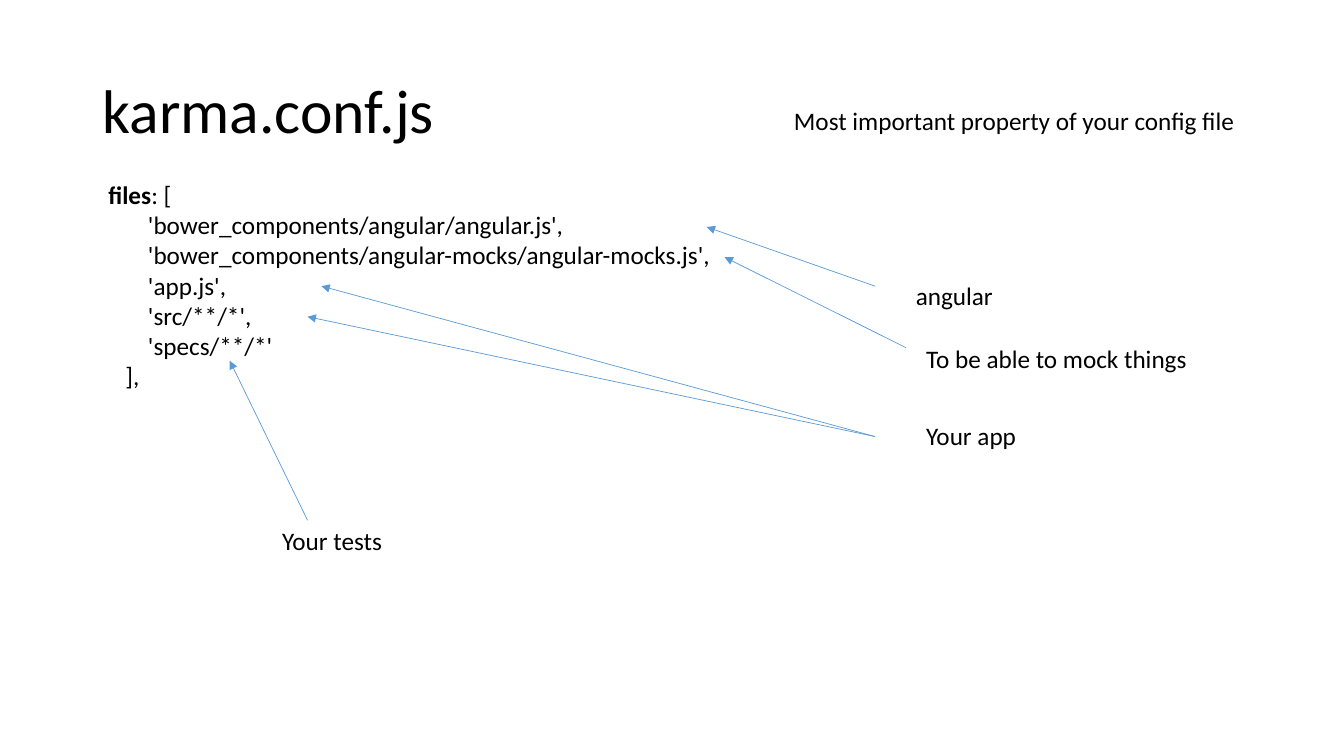
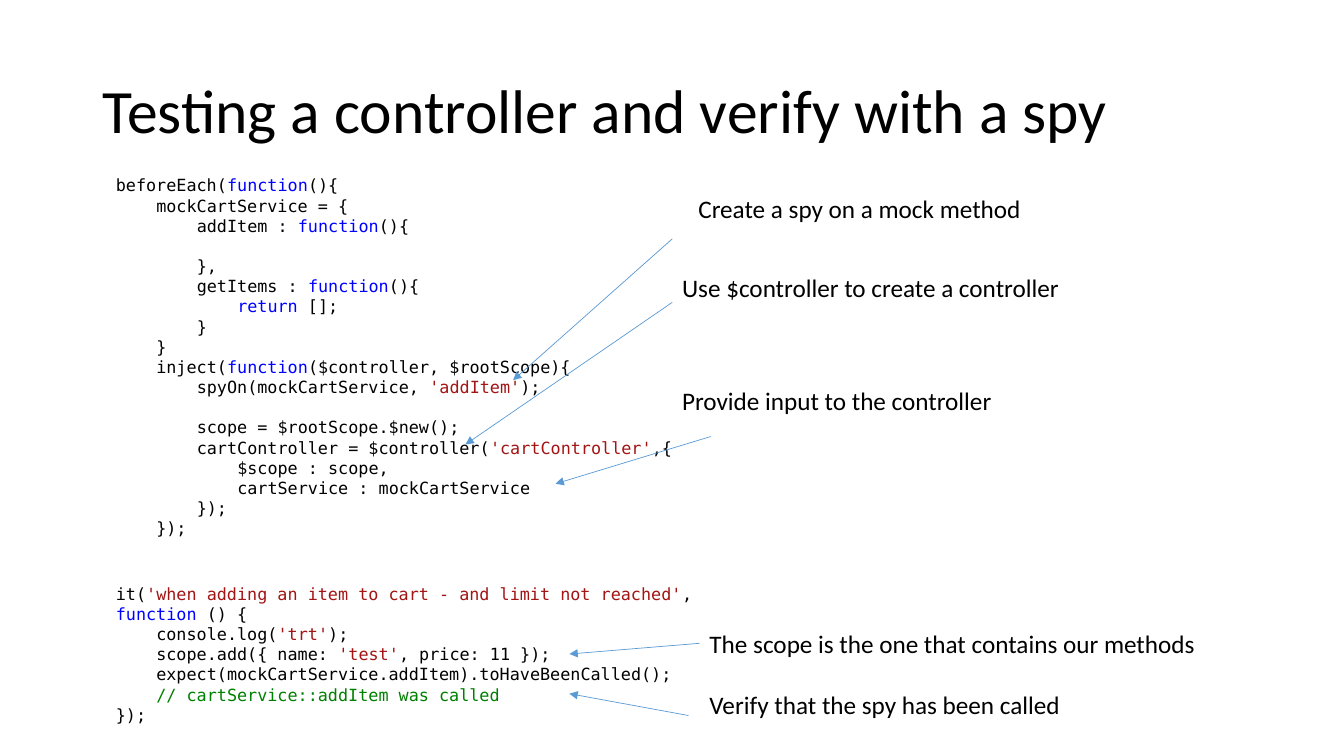
from lxml import etree
from pptx import Presentation
from pptx.dml.color import RGBColor
from pptx.enum.shapes import MSO_CONNECTOR
from pptx.enum.text import MSO_ANCHOR
from pptx.oxml.ns import qn
from pptx.util import Cm, Pt

COLORS = {"text": "000000", "arrow": "5B9BD5", "keyword": "0000FF",
          "string": "A31515", "comment": "008000"}
MARKS = {"'": "string", "/": "comment"}

# "tab" is the indent for four leading spaces, "gap" the height of a blank line
TITLE = {"font": {"name": "Calibri", "size": Pt(44)}, "spacing": 0.9,
         "frame": {"word_wrap": True, "vertical_anchor": MSO_ANCHOR.MIDDLE}}
NOTE = {"font": {"name": "Calibri", "size": Pt(18)}, "spacing": 1.0,
        "frame": {"word_wrap": False}, "gap": Pt(22)}
CONFIG = {**NOTE, "frame": {"word_wrap": True}, "tab": Cm(0.57)}
CODE = {"font": {"name": "DejaVu Sans Mono", "size": Pt(12)},
        "spacing": Pt(14.4), "frame": {"word_wrap": True},
        "tab": Cm(1.02), "gap": Pt(14.4), "syntax": True}


def add_text(s, box, text, style):
    """Add a text box; leading spaces become indents, backticks mark runs."""
    tf = s.shapes.add_textbox(*(Cm(v) for v in box)).text_frame
    for name, value in style["frame"].items():
        setattr(tf, name, value)
    p, gap = None, 0
    for line in text.strip("\n").split("\n"):
        if not line:
            gap += style["gap"]
            continue
        p = tf.add_paragraph() if p else tf.paragraphs[0]
        p.line_spacing, p.space_before, gap = style["spacing"], gap, 0
        content = line.lstrip()
        depth = len(line) - len(content)
        if depth:
            margin = int(style["tab"] * depth / 4)
            p._p.get_or_add_pPr().set("marL", str(margin))
        for i, piece in enumerate(content.split("`")):
            if not piece:
                continue
            r = p.add_run()
            r.text = piece
            for name, value in style["font"].items():
                setattr(r.font, name, value)
            color = "text"
            if i % 2 and style.get("syntax"):
                color = MARKS.get(piece[0], "keyword")
            elif i % 2:
                r.font.bold = True
            r.font.color.rgb = RGBColor.from_string(COLORS[color])


def add_arrow(s, ends):
    """Add a thin arrow from the first point to the second."""
    line = s.shapes.add_connector(MSO_CONNECTOR.STRAIGHT,
                                  *(Cm(v) for v in ends))
    line.line.color.rgb = RGBColor.from_string(COLORS["arrow"])
    line.line.width = Pt(0.5)
    etree.SubElement(line.line._get_or_add_ln(), qn("a:tailEnd"),
                     type="triangle")
    etree.SubElement(line._element.spPr, qn("a:effectLst"))


FILES = """
 `files`: [
        'bower_components/angular/angular.js',
        'bower_components/angular-mocks/angular-mocks.js',
        'app.js',
        'src/**/*',
        'specs/**/*'
    ],
"""

SETUP = """
beforeEach(`function`(){
    mockCartService = {
        addItem : `function`(){

        },
        getItems : `function`(){
            `return` [];
        }
    }
    inject(`function`($controller, $rootScope){
        spyOn(mockCartService, `'addItem'`);

        scope = $rootScope.$new();
        cartController = $controller(`'cartController'`,{
            $scope : scope,
            cartService : mockCartService
        });
    });
"""

SPY_TEST = """
it(`'when adding an item to cart - and limit not reached'`, `function` () {
    console.log(`'trt'`);
    scope.add({ name: `'test'`, price: 11 });
    expect(mockCartService.addItem).toHaveBeenCalled();
    `// cartService::addItem was called`
});
"""

SLIDES = [
    {"title": "karma.conf.js",
     "listings": [((2.34, 4.39, 16.94, 5.64), FILES, CONFIG)],
     "notes": [
         ((19.76, 2.54, 11.73, 1.02),
          "Most important property of your config file"),
         ((22.83, 6.93, 2.49, 1.02), "angular"),
         ((23.09, 8.53, 7.16, 1.02), "To be able to mock things"),
         ((23.09, 10.46, 2.82, 1.02), "Your app"),
         ((6.86, 13.11, 3.05, 1.02), "Your tests")],
     "arrows": [(22.05, 7.21, 17.81, 5.72), (22.83, 8.76, 18.26, 6.48),
                (22.05, 11, 8.1, 7.21), (22.05, 11, 7.75, 7.98),
                (7.75, 13.11, 5.79, 9.09)]},
    {"title": "Testing a controller and verify with a spy",
     "listings": [((2.67, 4.29, 16.94, 9.5), SETUP, CODE),
                  ((2.67, 14.58, 16.94, 3.84), SPY_TEST, CODE)],
     "notes": [
         ((17.35, 4.75, 8.74, 1.02), "Create a spy on a mock method"),
         ((16.94, 6.73, 10.11, 1.8), "Use $controller to create a controller"),
         ((16.94, 9.58, 8.41, 1.02), "Provide input to the controller"),
         ((17.63, 15.7, 12.9, 2.57),
          "The scope is the one that contains our methods\n\n"
          "Verify that the spy has been called")],
     "arrows": [(17.91, 11, 14, 12.19), (16.94, 7.62, 11.73, 11.2),
                (16.94, 6.02, 12.93, 9.58), (17.63, 16.21, 14.35, 16.48),
                (17.35, 18.03, 14.35, 17.48)]},
]

prs = Presentation()
prs.slide_width, prs.slide_height = Cm(33.87), Cm(19.05)
for content in SLIDES:
    s = prs.slides.add_slide(prs.slide_layouts[6])
    add_text(s, (2.34, 1.02, 29.21, 3.68), content["title"], TITLE)
    for box, text, style in content["listings"]:
        add_text(s, box, text, style)
    for box, text in content["notes"]:
        add_text(s, box, text, NOTE)
    for ends in content["arrows"]:
        add_arrow(s, ends)

prs.save("out.pptx")
